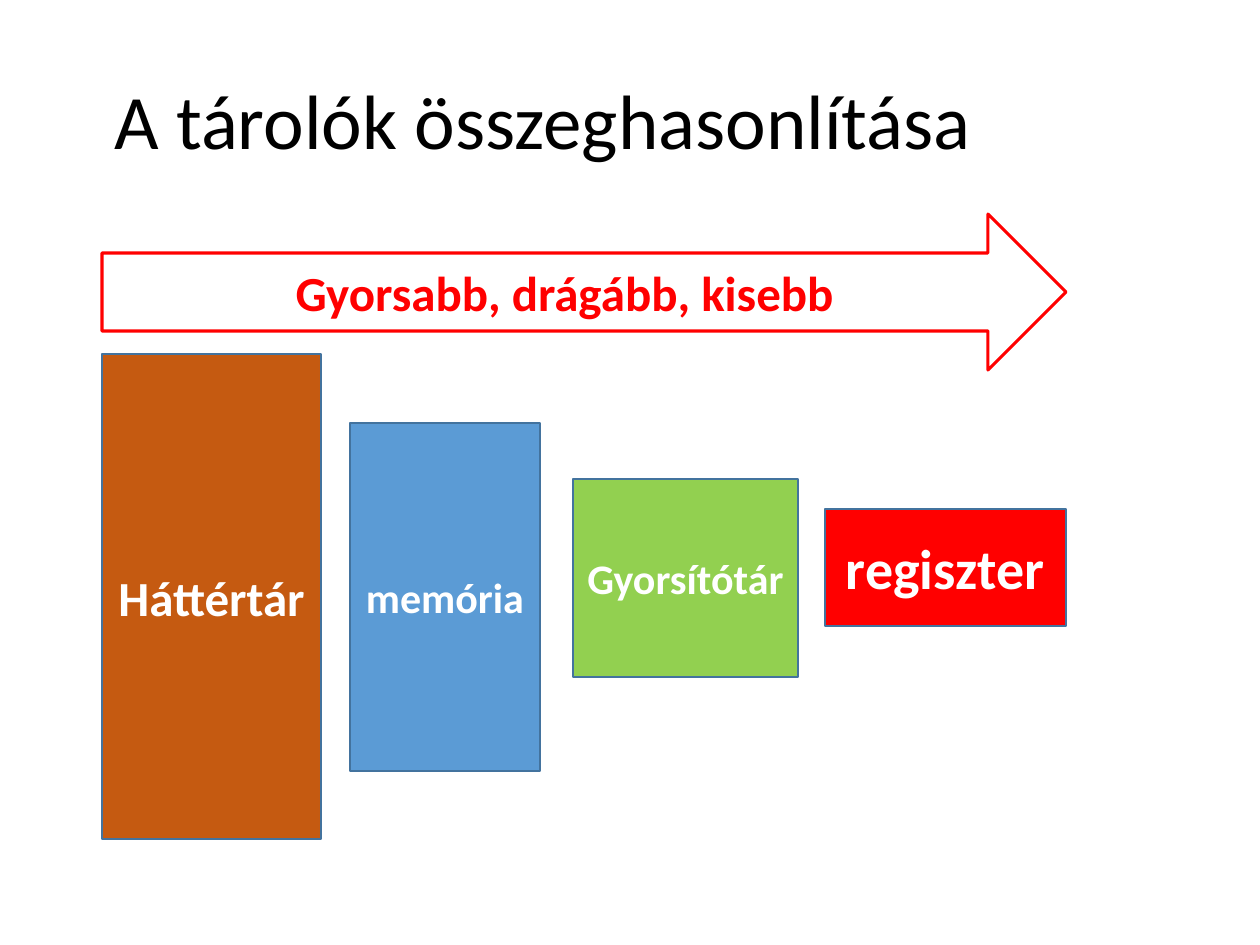
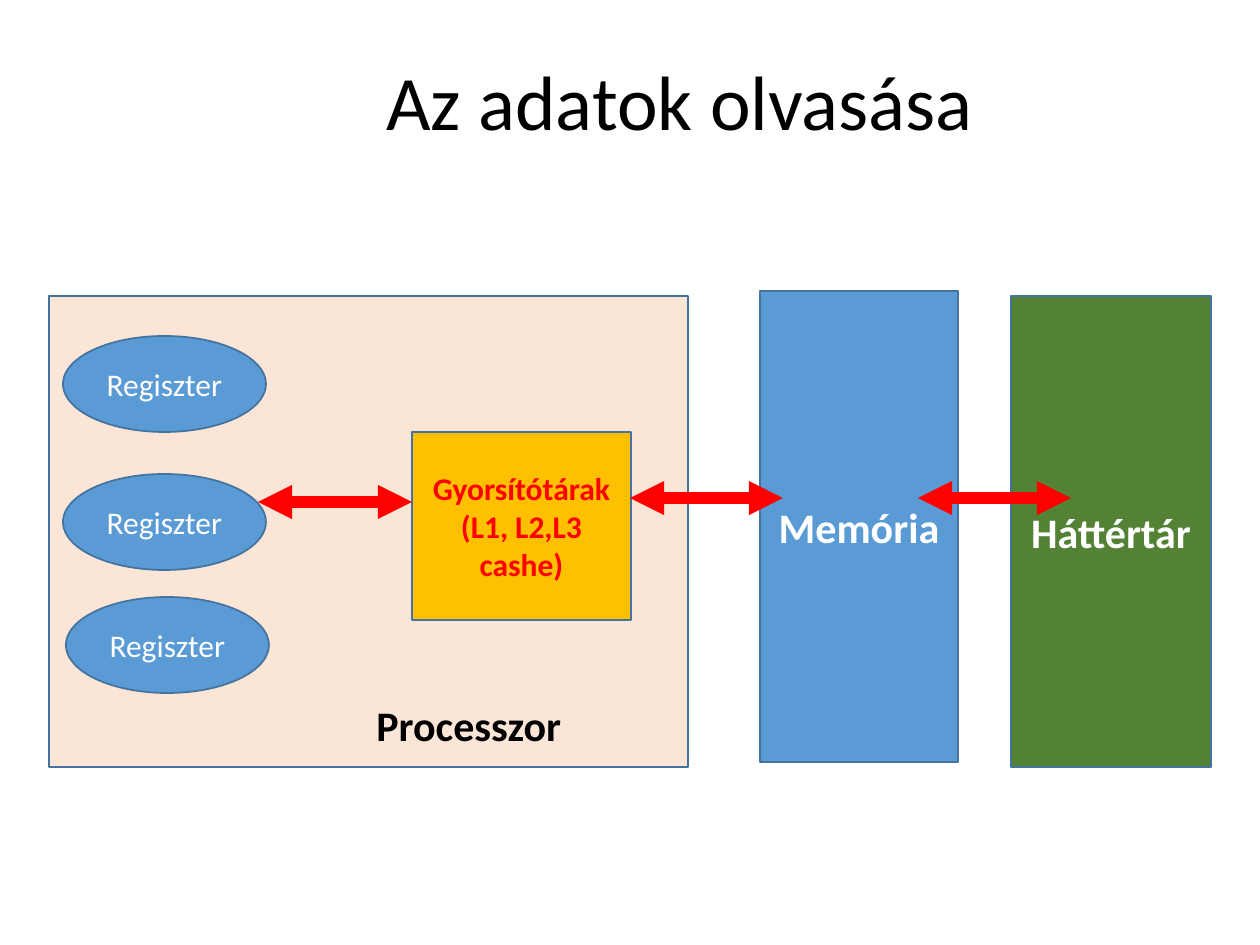
from lxml import etree
from pptx import Presentation
from pptx.dml.color import RGBColor
from pptx.enum.shapes import MSO_CONNECTOR, MSO_SHAPE
from pptx.enum.text import MSO_ANCHOR, PP_ALIGN
from pptx.oxml.ns import qn
from pptx.util import Emu, Pt

RECT, OVAL, ARROW = MSO_SHAPE.RECTANGLE, MSO_SHAPE.OVAL, MSO_SHAPE.RIGHT_ARROW
LINE = MSO_CONNECTOR.STRAIGHT
LEFT, MID = PP_ALIGN.LEFT, PP_ALIGN.CENTER
TOP, HALF = MSO_ANCHOR.TOP, MSO_ANCHOR.MIDDLE
SCALE = 914400 / 126


class Theme:
    """Colours, font and type sizes of the deck."""
    font = "Calibri"
    black, white, red = "000000", "FFFFFF", "FF0000"
    edge, blue, rust = "43739E", "5B9BD5", "C55A11"
    lime, green, gold, peach = "92D050", "548235", "FFC000", "FBE5D6"
    title, huge, large, mid, small = 44, 32, 28, 24, 18
    thin, bold, thick = 1, 1.75, 6.5


def px(*nums):
    """Turn px into EMU."""
    return [Emu(round(n * SCALE)) for n in nums]


def rgb(code):
    """Read a hex colour."""
    return RGBColor.from_string(code)


def shift(box, x, y):
    """Move a point from a box's own frame to the slide."""
    return box[0] + x, box[1] + y


def write(shape, text, size, color, bold=True, align=MID, anchor=HALF, space=1):
    """Set one paragraph of text in a shape."""
    frame = shape.text_frame
    frame.word_wrap, frame.vertical_anchor = True, anchor
    para = frame.paragraphs[0]
    para.alignment, para.line_spacing = align, space
    run = para.add_run()
    run.text = text
    look = {"name": Theme.font, "size": Pt(size), "bold": bold}
    for key, value in look.items():
        setattr(run.font, key, value)
    run.font.color.rgb = rgb(color)


def block(slide, kind, box, fill, edge=Theme.edge, width=Theme.thin):
    """Draw a filled and outlined shape."""
    shape = slide.shapes.add_shape(kind, *px(*box))
    shape.shadow.inherit = False
    shape.fill.solid()
    shape.fill.fore_color.rgb = rgb(fill)
    shape.line.color.rgb = rgb(edge)
    shape.line.width = Pt(width)
    return shape


def label(slide, box, text, size, **form):
    """Place text without a frame."""
    write(slide.shapes.add_textbox(*px(*box)), text, size, Theme.black, **form)


def title(slide, box, text, align):
    """Place the slide title."""
    label(slide, box, text, Theme.title, bold=False, align=align, space=0.9)


def link(slide, start, span):
    """Draw a level red line with a head at each end."""
    x, y = start
    line = slide.shapes.add_connector(LINE, *px(x, y, x + span, y))
    line.line.color.rgb = rgb(Theme.red)
    line.line.width = Pt(Theme.thick)
    pen = line.line._get_or_add_ln()
    for end in ("a:headEnd", "a:tailEnd"):
        etree.SubElement(pen, qn(end), type="triangle")
    etree.SubElement(line._element.spPr, qn("a:effectLst"))


def stores(slide, box):
    """Draw the stores from large to small under the arrow."""
    rows = [
        ("regiszter", (723, 295, 241, 117), Theme.red, Theme.huge),
        ("Gyorsítótár", (471, 265, 225, 198), Theme.lime, Theme.mid),
        ("memória", (248, 209, 190, 348), Theme.blue, Theme.mid),
        ("Háttértár", (0, 140, 219, 485), Theme.rust, Theme.large),
    ]
    for text, (x, y, w, h), fill, size in rows:
        store = block(slide, RECT, (*shift(box, x, y), w, h), fill)
        write(store, text, size, Theme.white)
    arrow = block(slide, ARROW, (*box[:3], 156), Theme.white, Theme.red, Theme.bold)
    write(arrow, "Gyorsabb, drágább, kisebb", Theme.large, Theme.red)


def chip(slide, box):
    """Draw the processor with its registers and cache."""
    block(slide, RECT, box, Theme.peach)
    for x, y in ((17, 301), (14, 178), (14, 40)):
        oval = block(slide, OVAL, (*shift(box, x, y), 203, 96), Theme.blue)
        write(oval, "Regiszter", Theme.small, Theme.white, bold=False)
    cache = block(slide, RECT, (*shift(box, 363, 136), 219, 188), Theme.gold)
    write(cache, "Gyorsítótárak (L1, L2,L3 cashe)", Theme.small, Theme.red)
    link(slide, shift(box, 209, 206), 154)
    label(slide, (*shift(box, 315, 397), 252, 63), "Processzor", Theme.mid,
          align=LEFT, anchor=TOP)


def chain(slide, box):
    """Draw the path from processor to memory to back store."""
    chip(slide, (*shift(box, 0, 5), 639, 471))
    rows = [
        ("Memória", 711, 0, 198, Theme.blue),
        ("Háttértár", 962, 5, 200, Theme.green),
    ]
    for text, x, y, w, fill in rows:
        store = block(slide, RECT, (*shift(box, x, y), w, 471), fill)
        write(store, text, Theme.mid, Theme.white)
    for x in (581, 869):
        link(slide, shift(box, x, 207), 153)


def main():
    """Build both slides and save them."""
    deck = Presentation()
    deck.slide_width, deck.slide_height = px(1260, 945)
    pages = [
        ("A tárolók összeghasonlítása", (102, 64, 1086, 121), LEFT,
         stores, (102, 214, 964, 625)),
        ("Az adatok olvasása", (137, 53, 1086, 105), MID,
         chain, (49, 291, 1162, 476)),
    ]
    for text, head, align, draw, body in pages:
        slide = deck.slides.add_slide(deck.slide_layouts[6])
        title(slide, head, text, align)
        draw(slide, body)
    deck.save("out.pptx")


if __name__ == "__main__":
    main()
